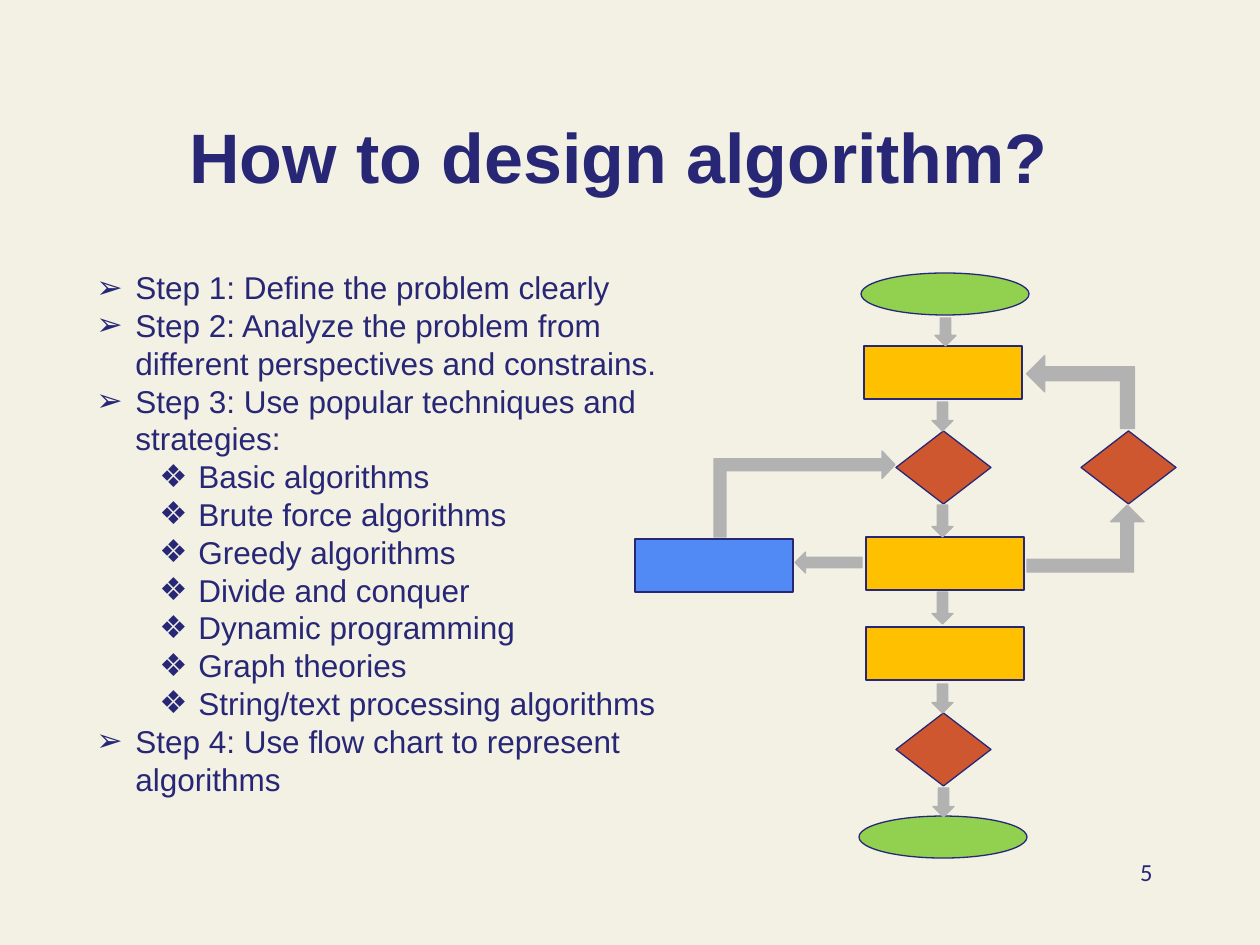
from typing import NamedTuple

from lxml import etree
from pptx import Presentation
from pptx import util as u
from pptx.dml.color import RGBColor
from pptx.enum import shapes, text
from pptx.oxml.ns import qn

Kind = shapes.MSO_SHAPE
Align = text.PP_ALIGN
Anchor = text.MSO_ANCHOR

SCALE = u.Inches(1) / 126  # EMU in one px


class Theme:
    paper = "F3F1E4"
    ink = "272776"
    green = "92D050"
    gold = "FFC000"
    blue = "5189F5"
    rust = "CE572F"
    gray = "B2B2B2"
    font = "Arial"
    page_font = "Calibri"
    title_size = 40
    body_size = 18
    page_size = 14
    line_width = 0.75
    leading = 21.6


class Box(NamedTuple):
    left: int
    top: int
    width: int
    height: int


class Style(NamedTuple):
    size: int
    font: str = Theme.font
    bold: bool = False
    align: Align = Align.LEFT


class Level(NamedTuple):
    bullet: str
    indent: int


class Node(NamedTuple):
    kind: Kind
    width: int
    height: int
    fill: str


class Arrow(NamedTuple):
    kind: Kind
    box: Box
    adjust: tuple
    turn: int = 0


def px(count: int) -> u.Emu:
    return u.Emu(round(count * SCALE))


def color(code: str) -> RGBColor:
    return RGBColor.from_string(code)


def add_frame(slide, box: Box, anchor=Anchor.TOP):
    frame = slide.shapes.add_textbox(*map(px, box)).text_frame
    frame.word_wrap = True
    frame.vertical_anchor = anchor
    return frame


def add_run(para, words: str, style: Style) -> None:
    para.alignment = style.align
    run = para.add_run()
    run.text = words
    run.font.size = u.Pt(style.size)
    run.font.name = style.font
    run.font.bold = style.bold
    run.font.color.rgb = color(Theme.ink)


def add_bullet(para, level: Level) -> None:
    props = para._p.get_or_add_pPr()
    props.set("marL", str(px(level.indent)))
    props.set("indent", str(-px(HANG)))
    tint = etree.SubElement(props, qn("a:buClr"))
    etree.SubElement(tint, qn("a:srgbClr"), val=Theme.ink)
    etree.SubElement(props, qn("a:buFont"), typeface=Theme.font)
    etree.SubElement(props, qn("a:buChar"), char=level.bullet)


def add_shape(slide, kind: Kind, box: Box, fill: str, line: str):
    shape = slide.shapes.add_shape(kind, *map(px, box))
    shape.shadow.inherit = False
    shape.fill.solid()
    shape.fill.fore_color.rgb = color(fill)
    shape.line.color.rgb = color(line)
    shape.line.width = u.Pt(Theme.line_width)
    return shape


def add_node(slide, node: Node, left: int, top: int) -> None:
    box = Box(left, top, node.width, node.height)
    add_shape(slide, node.kind, box, node.fill, Theme.ink)


def add_arrow(slide, arrow: Arrow) -> None:
    shape = add_shape(slide, arrow.kind, arrow.box, Theme.gray, Theme.gray)
    for spot, value in enumerate(arrow.adjust):
        shape.adjustments[spot] = value
    shape.rotation = arrow.turn


# Step list
HANG = 39
STEP = Level("➢", HANG)
ITEM = Level("❖", 102)
LINES = [
    (STEP, "Step 1: Define the problem clearly"),
    (STEP, "Step 2: Analyze the problem from different perspectives and constrains."),
    (STEP, "Step 3: Use popular techniques and strategies:"),
    (ITEM, "Basic algorithms"),
    (ITEM, "Brute force algorithms"),
    (ITEM, "Greedy algorithms"),
    (ITEM, "Divide and conquer"),
    (ITEM, "Dynamic programming"),
    (ITEM, "Graph theories"),
    (ITEM, "String/text processing algorithms"),
    (STEP, "Step 4: Use flow chart to represent algorithms"),
]

# Flow chart
END = Node(Kind.OVAL, 168, 42, Theme.green)
TASK = Node(Kind.RECTANGLE, 158, 53, Theme.gold)
SIDE = TASK._replace(fill=Theme.blue)
CHOICE = Node(Kind.DIAMOND, 95, 73, Theme.rust)
NODES = [
    (TASK, 864, 346), (END, 861, 273), (END, 859, 816),
    (TASK, 866, 627), (TASK, 866, 537), (SIDE, 635, 539),
    (CHOICE, 1081, 431), (CHOICE, 896, 431), (CHOICE, 896, 713),
]
HALF = (0.5, 0.5)
BEND = (0.19, 0.25, 0.25)
DROPS = [
    (935, 318, 28), (932, 402, 29), (932, 505, 32),
    (932, 592, 32), (932, 684, 29), (933, 788, 29),
]
ARROWS = [
    Arrow(Kind.DOWN_ARROW, Box(left, top, 21, height), HALF)
    for left, top, height in DROPS
] + [
    Arrow(Kind.BENT_UP_ARROW, Box(1027, 505, 117, 67), BEND),
    Arrow(Kind.BENT_UP_ARROW, Box(1044, 338, 73, 108), BEND, 270),
    Arrow(Kind.DOWN_ARROW, Box(818, 529, 21, 67), HALF, 90),
    Arrow(Kind.BENT_ARROW, Box(714, 451, 181, 86), (0.14, 0.16, 0.15, 0)),
]


def main() -> None:
    deck = Presentation()
    deck.slide_width, deck.slide_height = px(1260), px(945)
    slide = deck.slides.add_slide(deck.slide_layouts[6])
    slide.background.fill.solid()
    slide.background.fill.fore_color.rgb = color(Theme.paper)

    # Title; its closing tab sets it slightly left of centre
    frame = add_frame(slide, Box(95, 68, 1071, 136), Anchor.BOTTOM)
    style = Style(Theme.title_size, bold=True, align=Align.CENTER)
    add_run(frame.paragraphs[0], "How to design algorithm?\t", style)

    # Steps
    frame = add_frame(slide, Box(84, 262, 630, 547))
    for spot, (level, words) in enumerate(LINES):
        para = frame.add_paragraph() if spot else frame.paragraphs[0]
        para.level = int(level is ITEM)
        para.line_spacing = u.Pt(Theme.leading)
        add_bullet(para, level)
        add_run(para, words, Style(Theme.body_size))

    # Chart
    for node, left, top in NODES:
        add_node(slide, node, left, top)
    for arrow in ARROWS:
        add_arrow(slide, arrow)

    # Page number
    frame = add_frame(slide, Box(903, 851, 262, 63))
    style = Style(Theme.page_size, Theme.page_font, align=Align.RIGHT)
    add_run(frame.paragraphs[0], "5", style)

    deck.save("out.pptx")


if __name__ == "__main__":
    main()
